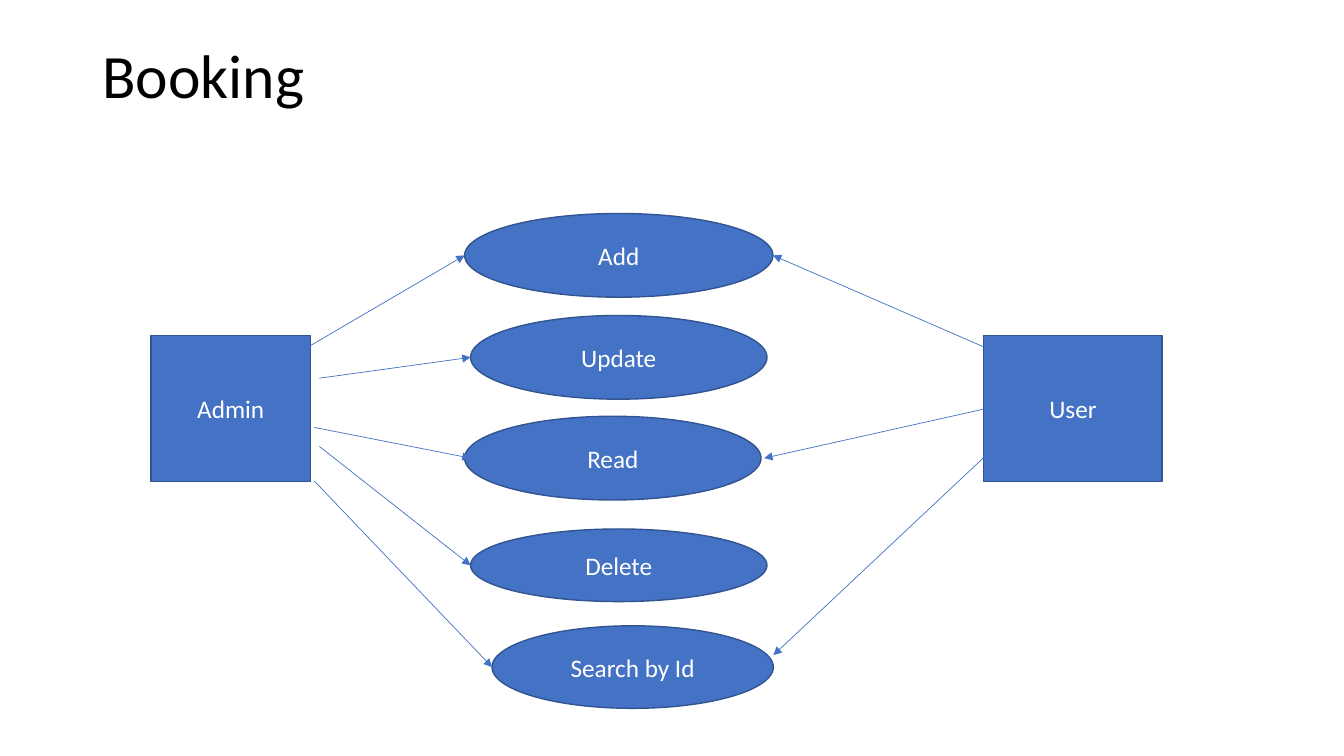
from lxml import etree
from pptx import Presentation
from pptx import util as u
from pptx.dml.color import RGBColor
from pptx.enum import shapes, text
from pptx.oxml.ns import qn

FONT = "Calibri"
BLUE, EDGE, WHITE, BLACK = "4472C4", "325491", "FFFFFF", "000000"
RECT, OVAL = shapes.MSO_SHAPE.RECTANGLE, shapes.MSO_SHAPE.OVAL

# Actors: left, top, width, height in cm within the diagram
ACTORS = {"Admin": (0, 3.08, 4.01, 3.68), "User": (20.98, 3.08, 4.5, 3.68)}
# Actions, same order
ACTIONS = {
    "Add": (7.9, 0, 7.77, 2.11),
    "Update": (8.05, 2.57, 7.47, 2.11),
    "Read": (7.9, 5.11, 7.47, 2.11),
    "Delete": (8.05, 7.95, 7.47, 1.83),
    "Search by Id": (8.59, 10.39, 7.09, 2.08),
}
# Arrows: action, start x, start y, shift of the tip from the oval's edge
ADMIN_ARROWS = [
    ("Add", 3.96, 3.36, 0, 0),
    ("Update", 4.24, 4.15, 0, 0),
    ("Read", 4.11, 5.39, 0.15, 0),
    ("Delete", 4.24, 5.87, 0, 0),
    ("Search by Id", 4.11, 6.74, 0, 0),
]
USER_ARROWS = [
    ("Add", 20.98, 3.36, 0, 0),
    ("Read", 20.98, 4.93, 0.08, 0),
    ("Search by Id", 20.98, 6.15, 0, -0.3),
]


def rgb(value):
    return RGBColor.from_string(value)


def add_run(p, words, size, color):
    r = p.add_run()
    r.text = words
    r.font.name, r.font.size = FONT, u.Pt(size)
    r.font.color.rgb = rgb(color)


def add_title(s, x, y, w, h):
    tf = s.shapes.add_textbox(u.Cm(x), u.Cm(y), u.Cm(w), u.Cm(h)).text_frame
    tf.word_wrap = True
    tf.vertical_anchor = text.MSO_ANCHOR.TOP
    p = tf.paragraphs[0]
    p.line_spacing = 0.9
    add_run(p, "Booking", 44, BLACK)


def add_node(s, kind, label, x, y, w, h):
    sp = s.shapes.add_shape(kind, u.Cm(x), u.Cm(y), u.Cm(w), u.Cm(h))
    sp.shadow.inherit = False
    sp.fill.solid()
    sp.fill.fore_color.rgb = rgb(BLUE)
    sp.line.color.rgb, sp.line.width = rgb(EDGE), u.Pt(1)
    tf = sp.text_frame
    tf.word_wrap = True
    tf.vertical_anchor = text.MSO_ANCHOR.MIDDLE
    p = tf.paragraphs[0]
    p.alignment = text.PP_ALIGN.CENTER
    add_run(p, label, 18, WHITE)


def add_arrow(s, x1, y1, x2, y2):
    sp = s.shapes.add_connector(shapes.MSO_CONNECTOR.STRAIGHT,
                                u.Cm(x1), u.Cm(y1), u.Cm(x2), u.Cm(y2))
    sp.line.color.rgb, sp.line.width = rgb(BLUE), u.Pt(0.5)
    etree.SubElement(sp.line._get_or_add_ln(), qn("a:tailEnd"), type="triangle")
    etree.SubElement(sp._element.spPr, qn("a:effectLst"))


def add_diagram(s, x, y):
    # Actions and actors
    for kind, nodes in ((OVAL, ACTIONS), (RECT, ACTORS)):
        for label, (left, top, w, h) in nodes.items():
            add_node(s, kind, label, x + left, y + top, w, h)
    # Arrows: Admin's meet the left edge of an oval, User's the right edge
    for side, arrows in ((0, ADMIN_ARROWS), (1, USER_ARROWS)):
        for action, x1, y1, dx, dy in arrows:
            left, top, w, h = ACTIONS[action]
            add_arrow(s, x + x1, y + y1,
                      x + left + side * w + dx, y + top + h / 2 + dy)


prs = Presentation()
prs.slide_width, prs.slide_height = u.Cm(33.87), u.Cm(19.05)
s = prs.slides.add_slide(prs.slide_layouts[6])
add_title(s, 2.33, 1.01, 29.21, 3.68)
add_diagram(s, 3.81, 5.38)
prs.save("out.pptx")
